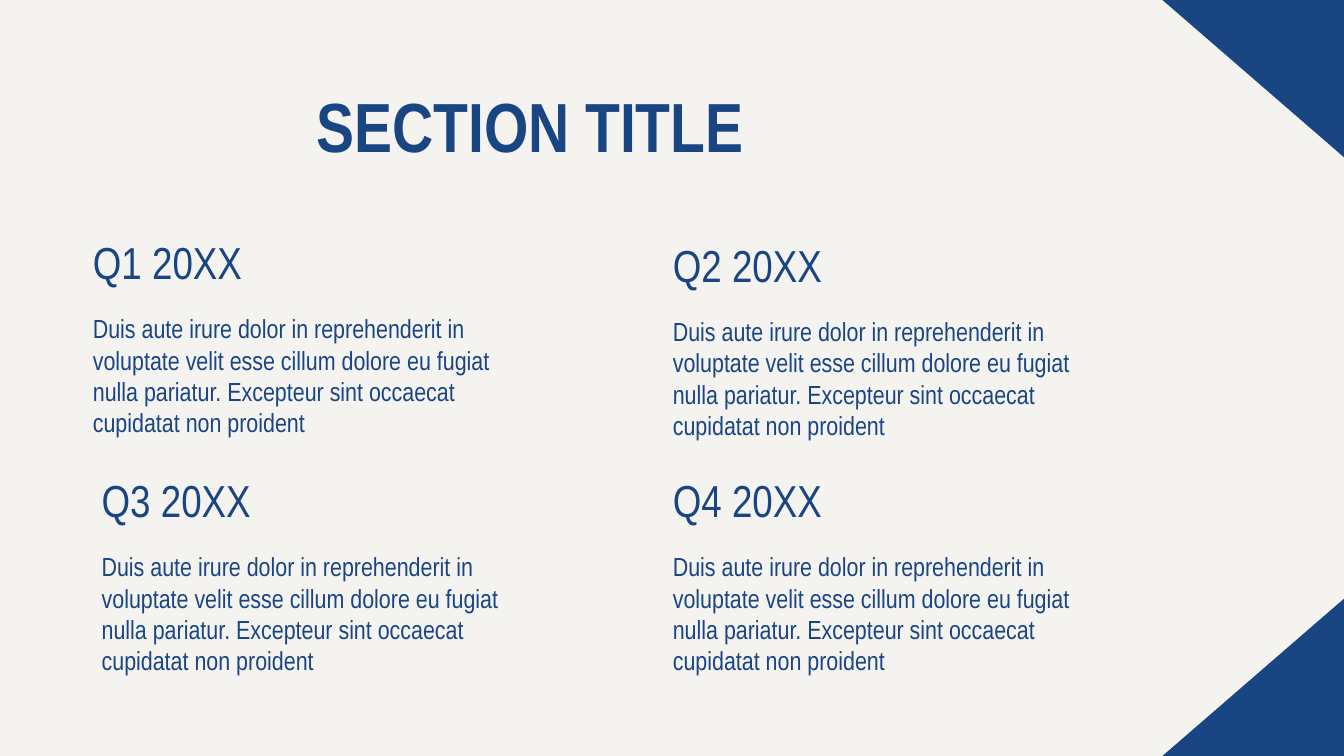
import pptx
import pptx.dml.color
import pptx.enum.text
import pptx.util
from dataclasses import dataclass

Pt = pptx.util.Pt
RGB = pptx.dml.color.RGBColor.from_string
PP_ALIGN = pptx.enum.text.PP_ALIGN


@dataclass(frozen=True)
class Theme:
    font: str = "Arial Narrow"
    paper: str = "F5F3F0"
    navy: str = "194582"
    title: float = 74.5
    heading: float = 48
    body: float = 28


class Deck:
    """Holds the theme and the current slide."""

    def __init__(self, prs, theme):
        self.theme = theme
        self.s = prs.slides.add_slide(prs.slide_layouts[5])
        fill = self.s.background.fill
        fill.solid()
        fill.fore_color.rgb = RGB(theme.paper)

    def place(self, sp, left, top, width, height):
        box = dict(left=left, top=top, width=width, height=height)
        for name, value in box.items():
            setattr(sp, name, Pt(value))

    def frame(self, tf, inset_top):
        fmt = dict(
            margin_left=Pt(0.9), margin_top=Pt(inset_top),
            margin_right=0, margin_bottom=0, word_wrap=True,
            auto_size=pptx.enum.text.MSO_AUTO_SIZE.NONE,
            vertical_anchor=pptx.enum.text.MSO_ANCHOR.TOP,
        )
        for name, value in fmt.items():
            setattr(tf, name, value)

    def add_text(self, p, text, size, bold=False, **layout):
        for name, value in layout.items():
            setattr(p, name, value)
        r = p.add_run()
        r.text = text
        for name, value in dict(name=self.theme.font, size=Pt(size), bold=bold).items():
            setattr(r.font, name, value)
        r.font.color.rgb = RGB(self.theme.navy)

    def title(self, text, *box):
        sp = self.s.shapes.title
        self.place(sp, *box)
        self.frame(sp.text_frame, 2)
        self.add_text(sp.text_frame.paragraphs[0], text, self.theme.title,
                      bold=True, alignment=PP_ALIGN.CENTER)

    def quarter(self, heading, body, *box):
        sp = self.s.shapes.add_textbox(*map(Pt, box))
        tf = sp.text_frame
        self.frame(tf, 2.5)
        self.add_text(tf.paragraphs[0], heading, self.theme.heading)
        self.add_text(tf.add_paragraph(), body, self.theme.body, space_before=Pt(25.9))

    def triangle(self, *points):
        start, *rest = [(Pt(x), Pt(y)) for x, y in points]
        builder = self.s.shapes.build_freeform(*start)
        builder.add_line_segments(rest, close=True)
        sp = builder.convert_to_shape()
        sp.shadow.inherit = False
        sp.fill.solid()
        sp.fill.fore_color.rgb = RGB(self.theme.navy)
        sp.line.fill.background()


def main():
    width, height = 1440, 810
    prs = pptx.Presentation()
    prs.slide_width, prs.slide_height = Pt(width), Pt(height)
    deck = Deck(prs, Theme())

    # Title
    deck.title("SECTION TITLE", 96.5, 87.1, 942.5, 91.4)

    # Mirrored corner triangles
    corner_w, corner_h = 194.5, 168.5
    for edge, inner in ((0, corner_h), (height, height - corner_h)):
        deck.triangle((width, edge), (width - corner_w, edge), (width, inner))

    # Four quarters
    body = ("Duis aute irure dolor in reprehenderit in voluptate velit esse "
            "cillum dolore eu fugiat nulla pariatur. Excepteur sint occaecat "
            "cupidatat non proident")
    corners = [(98.6, 249), (720, 252), (108, 504), (720, 504)]
    for number, (left, top) in enumerate(corners, 1):
        deck.quarter(f"Q{number} 20XX", body, left, top, 477.5, 252.5)

    prs.save("out.pptx")


if __name__ == "__main__":
    main()
